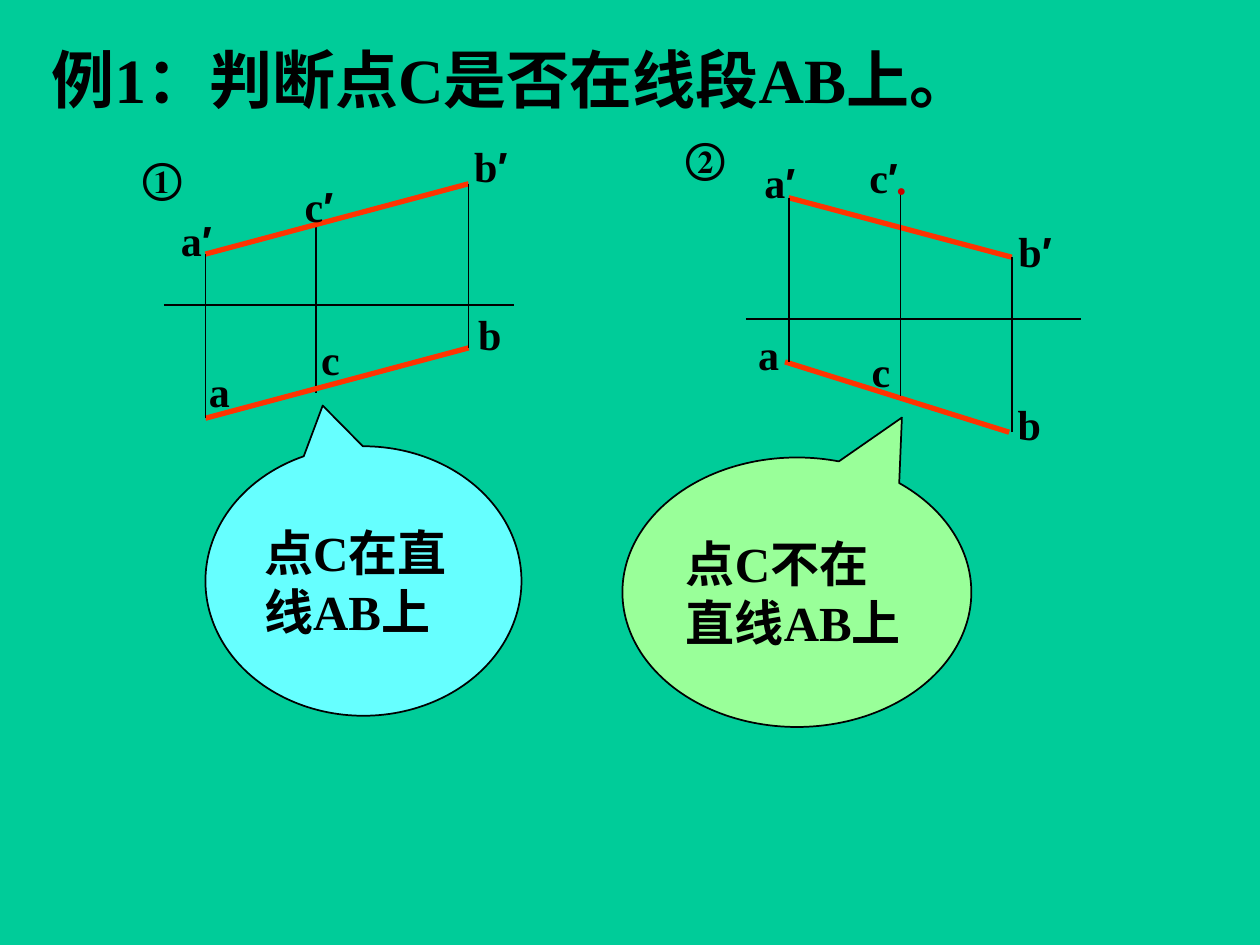
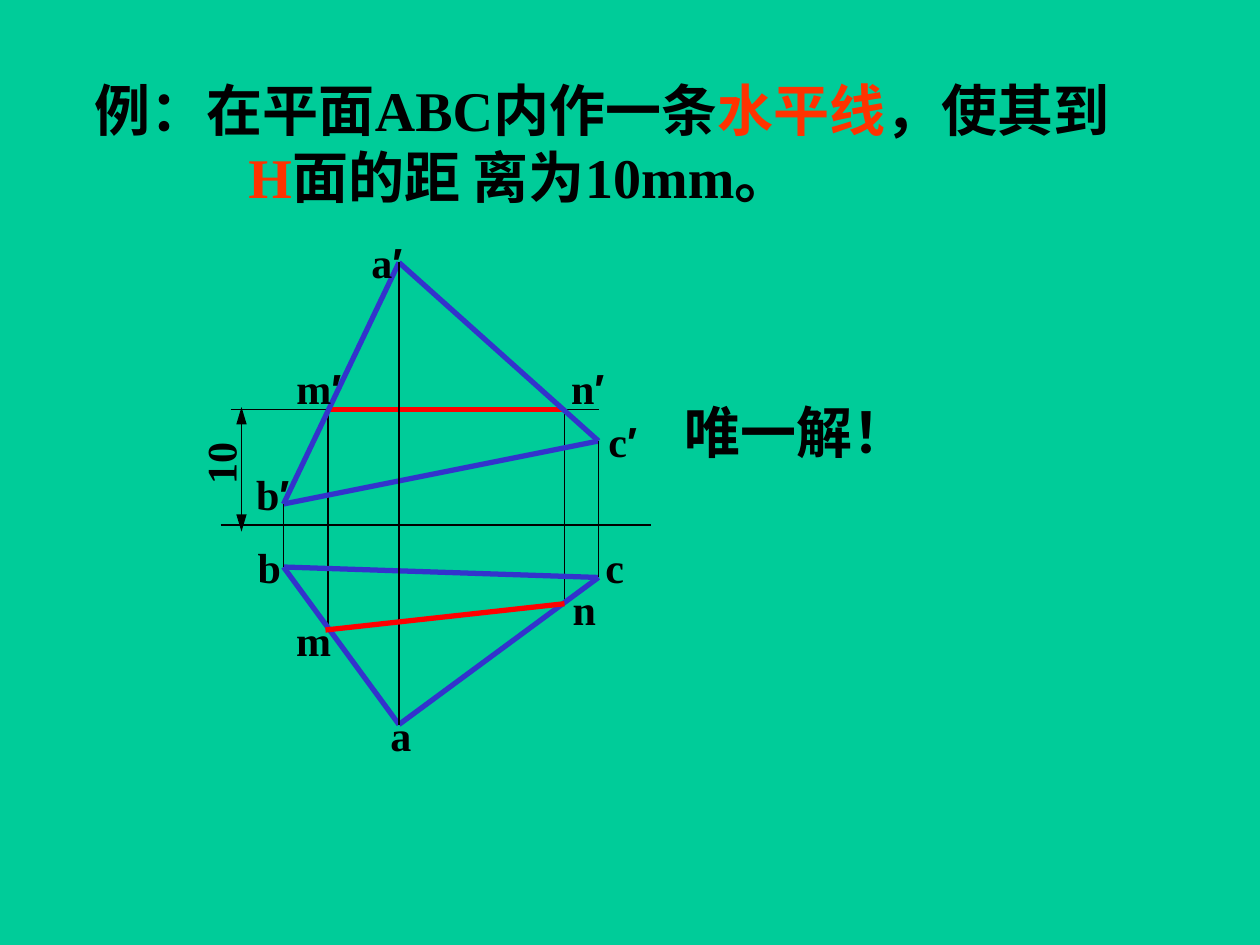
"""Builds two slides of projection drawing examples: a point on a line, a line in a plane."""
from lxml.etree import SubElement
from pptx import Presentation
from pptx.dml.color import RGBColor
from pptx.enum.shapes import MSO_CONNECTOR, MSO_SHAPE
from pptx.enum.text import MSO_ANCHOR, MSO_AUTO_SIZE, PP_ALIGN
from pptx.oxml.ns import qn
from pptx.util import Pt

GREEN = RGBColor(0x00, 0xCC, 0x99)
BLACK = RGBColor(0x00, 0x00, 0x00)
ORANGE = RGBColor(0xFF, 0x33, 0x00)
RED = RGBColor(0xFF, 0x00, 0x00)
DARK_RED = RGBColor(0xCC, 0x00, 0x00)
BLUE = RGBColor(0x33, 0x33, 0xCC)
CYAN = RGBColor(0x66, 0xFF, 0xFF)
LIME = RGBColor(0x99, 0xFF, 0x99)

TEXT_FONT = "Times New Roman"
PRIME_FONT = "Arial"
PRIME = "′"
LABEL_WIDTHS = {"a": 26, "b": 27, "c": 25, "m": 34.5, "n": 27, "10": 38, "①": 37, "②": 37}
PRIME_WIDTH = 8.5
LABEL_HEIGHT = 36
BOLD_LINE = 3


class Drawing:
    def __init__(self):
        self.deck = Presentation()
        self.deck.slide_width, self.deck.slide_height = Pt(720), Pt(540)
        background = self.deck.slide_master.background.fill
        background.solid()
        background.fore_color.rgb = GREEN
        self.page = None

    def start_page(self):
        self.page = self.deck.slides.add_slide(self.deck.slide_layouts[5])

    def add_span(self, para, text, size, color=BLACK, font=TEXT_FONT):
        span = para.add_run()
        span.text = text
        span.font.name, span.font.size, span.font.bold = font, Pt(size), True
        span.font.color.rgb = color

    def prepare_frame(self, box, wrap, align):
        frame = box.text_frame
        frame.word_wrap = wrap
        frame.auto_size = MSO_AUTO_SIZE.NONE
        frame.vertical_anchor = MSO_ANCHOR.MIDDLE
        frame.paragraphs[0].alignment = align
        return frame

    def title(self, place, size, lines, indent=0):
        box = self.page.shapes.title
        box.left, box.top, box.width, box.height = map(Pt, place)
        frame = self.prepare_frame(box, True, PP_ALIGN.LEFT)
        for index, spans in enumerate(lines):
            para = frame.add_paragraph() if index else frame.paragraphs[0]
            para.alignment = PP_ALIGN.LEFT
            if index:
                para._p.get_or_add_pPr().set("marL", str(Pt(indent)))
            for text, color in spans:
                self.add_span(para, text, size, color)

    def text(self, place, text, size, color=BLACK, wrap=False, align=PP_ALIGN.CENTER):
        box = self.page.shapes.add_textbox(*map(Pt, place))
        para = self.prepare_frame(box, wrap, align).paragraphs[0]
        self.add_span(para, text.rstrip(PRIME), size, color)
        if text.endswith(PRIME):
            self.add_span(para, PRIME, size, color, PRIME_FONT)
        return box

    def labels(self, *items):
        for name, left, top in items:
            width = LABEL_WIDTHS[name.rstrip(PRIME)] + PRIME_WIDTH * name.endswith(PRIME)
            self.text((left, top, width, LABEL_HEIGHT), name, 24)

    def line(self, start, end, color=BLACK, weight=1, arrows=False):
        connector = self.page.shapes.add_connector(
            MSO_CONNECTOR.STRAIGHT, *map(Pt, (*start, *end)))
        connector.line.color.rgb = color
        connector.line.width = Pt(weight)
        properties = connector._element.spPr
        if arrows:
            outline = properties.find(qn("a:ln"))
            for tag in ("a:headEnd", "a:tailEnd"):
                SubElement(outline, qn(tag), type="triangle", w="med", len="lg")
        SubElement(properties, qn("a:effectLst"))

    def lines(self, color, weight, *segments):
        for start, end in segments:
            self.line(start, end, color, weight)

    def callout(self, place, tip, fill, text):
        box = self.page.shapes.add_shape(MSO_SHAPE.OVAL_CALLOUT, *map(Pt, place))
        box.adjustments[0], box.adjustments[1] = tip
        box.shadow.inherit = False
        box.fill.solid()
        box.fill.fore_color.rgb = fill
        box.line.color.rgb = BLACK
        box.line.width = Pt(1)
        frame = self.prepare_frame(box, True, PP_ALIGN.LEFT)
        self.add_span(frame.paragraphs[0], text, 28)


def build_point_on_line(drawing):
    drawing.start_page()
    drawing.callout((355.7, 261.4, 199.4, 154), (0.301, -0.648), LIME, "点C不在直线AB上")
    drawing.title((22.3, 19.4, 600, 50.4), 36, [[("例1：判断点C是否在线段AB上。", BLACK)]])

    a_front, b_front = (117.4, 145.2), (267.8, 105)
    a_top, b_top = (117.4, 239), (267.8, 198.8)
    drawing.line((180.7, 129), (180.7, 224.5))
    drawing.lines(ORANGE, BOLD_LINE, (a_front, b_front), (a_top, b_top))
    drawing.lines(BLACK, 1, ((93.6, 174.4), (293.8, 174.4)),
                  (a_front, a_top), (b_top, b_front))
    drawing.labels(("a", 112.3, 205.2), ("b", 266.4, 172.8), ("c", 176.4, 187.2),
                   ("a′", 95, 118.8), ("b′", 262.8, 77), ("c′", 165.6, 99.4),
                   ("①", 74.2, 82.8))

    a_front, b_front = (450.7, 113), (578.2, 147)
    a_top, b_top = (448.6, 206.8), (576.7, 247)
    drawing.lines(ORANGE, BOLD_LINE, (a_top, b_top), (a_front, b_front))
    drawing.lines(BLACK, 1, ((426.2, 182.3), (617.8, 182.3)),
                  (a_front, (450.7, 206.8)), ((578.2, 247), b_front),
                  ((514.6, 110.9), (514.6, 226.3)))
    drawing.labels(("c′", 488.2, 82.8), ("②", 384.5, 71.3), ("a", 426.2, 184.3),
                   ("b", 574.6, 224), ("c", 491, 193.7), ("a′", 428.4, 85.7),
                   ("b′", 573.8, 125.3))
    drawing.text((505.4, 99.4, 19.4, 18), "●", 9, DARK_RED)
    drawing.callout((117.4, 255, 180.6, 154), (-0.129, -0.651), CYAN, "点C在直线AB上")


def build_line_in_plane(drawing):
    drawing.start_page()
    drawing.title((46.8, 39.6, 673.2, 84.2), 32, [
        [("例：在平面ABC内作一条", BLACK), ("水平线", ORANGE), ("，使其到", BLACK)],
        [("H", ORANGE), ("面的距 离为10mm。", BLACK)]], indent=88)

    a_front, b_front, c_front = (228, 150), (162, 288), (342, 252)
    a_top, b_top, c_top = (228, 414), (162, 324), (342, 330)
    m_front, n_front = (187.4, 234), (322.6, 234)
    m_top, n_top = (187.4, 360), (322.6, 345)

    drawing.lines(BLACK, 0.75, ((131.8, 234), (342, 234)), (m_front, m_top), (n_front, n_top))
    drawing.line((138, 232.6), (138, 303.8), weight=0.75, arrows=True)
    drawing.line(m_front, n_front, RED, BOLD_LINE)
    drawing.line((126, 300), (372, 300), weight=0.75)
    drawing.lines(BLUE, BOLD_LINE, (b_front, c_front), (b_front, a_front), (a_front, c_front),
                  (c_top, a_top), (b_top, a_top), (b_top, c_top))
    drawing.lines(BLACK, 0.75, (a_front, a_top), (b_front, b_top), (c_front, c_top))
    drawing.line((186, 360), n_top, RED, BOLD_LINE)

    drawing.labels(("n′", 318.2, 203.8), ("m′", 160.7, 203.8), ("n", 320.4, 329.8),
                   ("m", 162, 347.8), ("c′", 339.1, 234), ("a′", 203.8, 131.8),
                   ("b′", 138.2, 264.2), ("c", 338.8, 306), ("a", 216, 401.8),
                   ("b", 140.4, 306))
    dimension = drawing.text((106.6, 247, 38, LABEL_HEIGHT), "10", 24)
    dimension.rotation = 270
    drawing.text((384, 223.2, 146, 46), "唯一解！", 32, wrap=True, align=PP_ALIGN.LEFT)


def main():
    drawing = Drawing()
    build_point_on_line(drawing)
    build_line_in_plane(drawing)
    drawing.deck.save("out.pptx")


if __name__ == "__main__":
    main()
